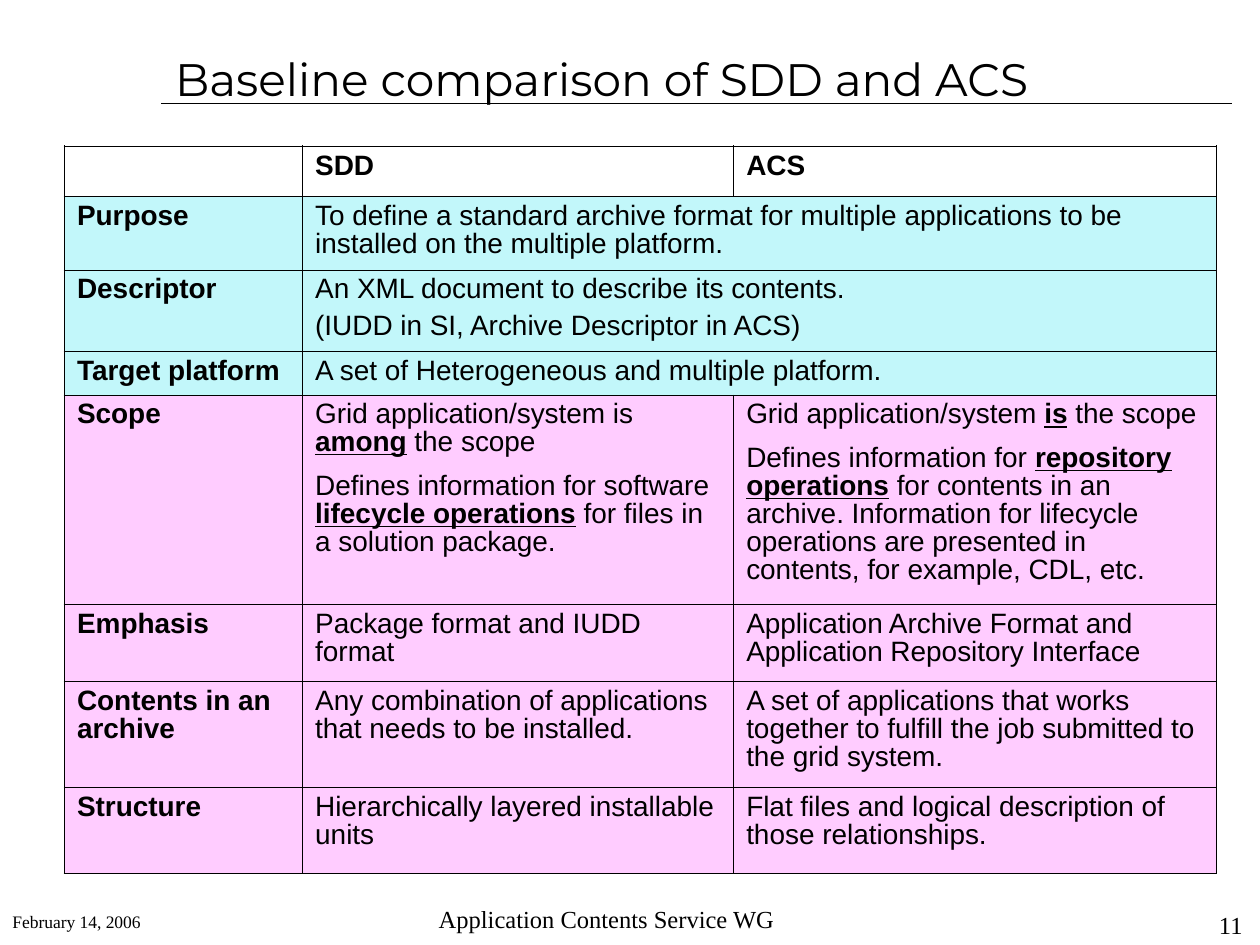
from pptx import Presentation
from pptx.dml.color import RGBColor
from pptx.enum.shapes import MSO_CONNECTOR
from pptx.enum.text import MSO_ANCHOR, PP_ALIGN
from pptx.oxml.ns import qn
from pptx.util import Cm, Pt
from lxml import etree

LEFT, CENTER, RIGHT = PP_ALIGN.LEFT, PP_ALIGN.CENTER, PP_ALIGN.RIGHT
MIDDLE = MSO_ANCHOR.MIDDLE
STRAIGHT = MSO_CONNECTOR.STRAIGHT

COLORS = {"black": "000000", "shared": "C2F7FA", "different": "FFCCFF"}
TITLE_FONT, TABLE_FONT, FOOTER_FONT = "Montserrat", "Arial", "Times New Roman"
OUTER_BORDER, INNER_BORDER = Pt(1.08), Pt(0.45)

COLUMN_WIDTHS = [4.8, 8.69, 9.73]
ROW_HEIGHTS = [0.97, 1.47, 1.65, 0.87, 4.23, 1.55, 2.14, 1.73]

# One list of paragraphs per cell; *stars* mark emphasis.
# A row with two cells has one statement shared by SDD and ACS.
ROWS = [
    [[], ["SDD"], ["ACS"]],
    [["Purpose"],
     ["To define a standard archive format for multiple applications to be "
      "installed on the multiple platform."]],
    [["Descriptor"],
     ["An XML document to describe its contents.",
      "(IUDD in SI, Archive Descriptor in ACS)"]],
    [["Target platform"], ["A set of Heterogeneous and multiple platform."]],
    [["Scope"],
     ["Grid application/system is *among* the scope",
      "Defines information for software *lifecycle operations* for files in "
      "a solution package."],
     ["Grid application/system *is* the scope",
      "Defines information for *repository operations* for contents in an "
      "archive. Information for lifecycle operations are presented in "
      "contents, for example, CDL, etc."]],
    [["Emphasis"],
     ["Package format and IUDD format"],
     ["Application Archive Format and Application Repository Interface"]],
    [["Contents in an archive"],
     ["Any combination of applications that needs to be installed."],
     ["A set of applications that works together to fulfill the job "
      "submitted to the grid system."]],
    [["Structure"],
     ["Hierarchically layered installable units"],
     ["Flat files and logical description of those relationships."]],
]


def color(name):
    return RGBColor.from_string(COLORS[name])


def set_font(font, name, size):
    font.name = name
    font.size = Pt(size)
    font.color.rgb = color("black")


def add_text(slide, text, left, top, width, height, font_name, size, align):
    box = slide.shapes.add_textbox(Cm(left), Cm(top), Cm(width), Cm(height))
    frame = box.text_frame
    frame.word_wrap = True
    frame.vertical_anchor = MIDDLE
    paragraph = frame.paragraphs[0]
    paragraph.text = text
    paragraph.alignment = align
    set_font(paragraph.font, font_name, size)


def add_rule(slide, left, right, y):
    rule = slide.shapes.add_connector(STRAIGHT, Cm(left), Cm(y), Cm(right), Cm(y))
    rule.line.color.rgb = color("black")
    rule.line.width = Pt(0.75)
    etree.SubElement(rule._element.spPr, qn("a:effectLst"))


def set_borders(cell, outer_sides):
    """Draw all four borders, heavier on the sides at the table's edge."""
    properties = cell._tc.get_or_add_tcPr()
    for side in "LRTB":
        width = OUTER_BORDER if side in outer_sides else INNER_BORDER
        line = etree.SubElement(properties, qn(f"a:ln{side}"), w=str(int(width)))
        fill = etree.SubElement(line, qn("a:solidFill"))
        etree.SubElement(fill, qn("a:srgbClr"), val=COLORS["black"])


def fill_cell(cell, fill_name):
    if fill_name:
        cell.fill.solid()
        cell.fill.fore_color.rgb = color(fill_name)
    else:
        cell.fill.background()


def write_cell(cell, texts, bold, space_before):
    frame = cell.text_frame
    for index, text in enumerate(texts):
        paragraph = frame.add_paragraph() if index else frame.paragraphs[0]
        paragraph.line_spacing = 0.9
        paragraph.space_before = Pt(space_before if index else 0)
        paragraph.space_after = Pt(4)
        set_font(paragraph.font, TABLE_FONT, 16)
        paragraph.font.bold = bold
        for part, piece in enumerate(text.split("*")):
            run = paragraph.add_run()
            run.text = piece
            if part % 2:
                run.font.bold = run.font.underline = True


def add_comparison_table(slide):
    last_row, last_column = len(ROWS) - 1, len(COLUMN_WIDTHS) - 1
    table = slide.shapes.add_table(
        len(ROWS), len(COLUMN_WIDTHS), Cm(1.3), Cm(2.95),
        Cm(sum(COLUMN_WIDTHS)), Cm(sum(ROW_HEIGHTS))).table
    table.first_row = table.horz_banding = False
    for column, width in zip(table.columns, COLUMN_WIDTHS):
        column.width = Cm(width)

    for row, (texts, height) in enumerate(zip(ROWS, ROW_HEIGHTS)):
        table.rows[row].height = Cm(height)
        shared = len(texts) == 2
        if shared:
            table.cell(row, 1).merge(table.cell(row, last_column))
        fill_name = None if row == 0 else "shared" if shared else "different"
        for column, cell_texts in enumerate(texts):
            cell = table.cell(row, column)
            edges = {"L": column == 0, "R": column == len(texts) - 1,
                     "T": row == 0, "B": row == last_row}
            set_borders(cell, [side for side, outer in edges.items() if outer])
            fill_cell(cell, fill_name)
            write_cell(cell, cell_texts, bold=row == 0 or column == 0,
                       space_before=1 if shared else 5)


def main():
    presentation = Presentation()
    presentation.slide_width, presentation.slide_height = Cm(25.4), Cm(19.05)
    slide = presentation.slides.add_slide(presentation.slide_layouts[6])

    add_rule(slide, 3.25, 24.84, 2.08)
    add_text(slide, "Baseline comparison of SDD and ACS",
             3.28, 0.84, 21.59, 1.47, TITLE_FONT, 26, LEFT)
    add_comparison_table(slide)
    add_text(slide, "Application Contents Service WG",
             7.62, 17.98, 9.22, 1.07, FOOTER_FONT, 14, CENTER)
    add_text(slide, "11", 22.89, 18.34, 2.41, 0.61, FOOTER_FONT, 14, RIGHT)
    add_text(slide, "February 14, 2006",
             0, 18.11, 7.49, 0.94, FOOTER_FONT, 10, LEFT)
    presentation.save("out.pptx")


if __name__ == "__main__":
    main()
